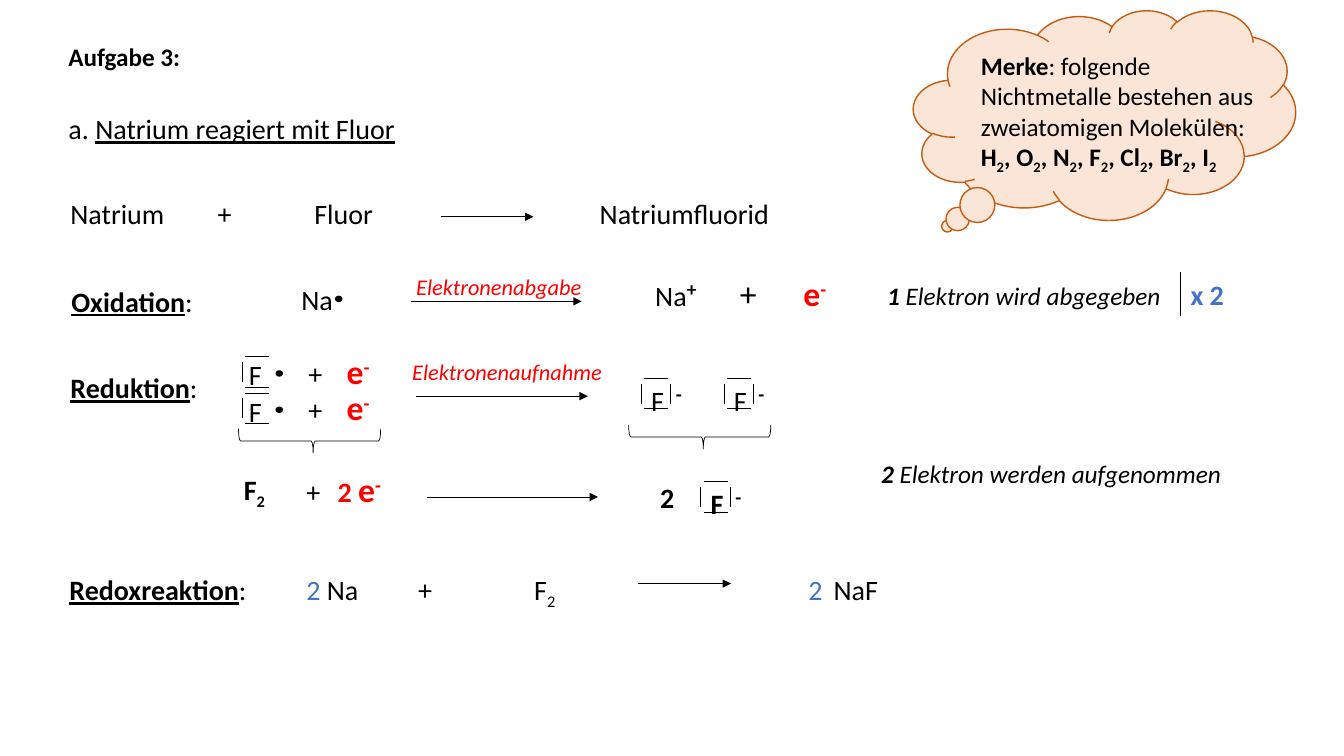
from lxml.etree import SubElement
from pptx import Presentation
from pptx.dml.color import RGBColor
from pptx.enum.shapes import MSO_CONNECTOR as Connector, MSO_SHAPE as Preset
from pptx.enum.text import MSO_AUTO_SIZE as AutoSize
from pptx.oxml.ns import qn
from pptx.util import Inches, Pt

COLUMN = ROW = Inches(0.1)
FONT = "Calibri"
COLORS = {
    "black": "000000",
    "red": "FF0000",
    "blue": "4472C4",
    "cloud": "FBE5D6",
    "cloud_edge": "C55A11",
}
SUB, SUPER = -25000, 30000
BOLD = dict(bold=True)
ELECTRON = [
    ("e", dict(size=24, color="red", bold=True)),
    ("-", dict(size=24, color="red", bold=True, baseline=SUPER)),
]


def color_of(name):
    return RGBColor.from_string(COLORS[name])


def columns(count):
    return round(count * COLUMN)


def rows(count):
    return round(count * ROW)


def frame(left, top, width, height):
    return columns(left), rows(top), columns(width), rows(height)


def add_run(paragraph, text, size=20, color="black", bold=False, italic=False,
            underline=False, baseline=0):
    run = paragraph.add_run()
    run.text = text
    font = run.font
    font.name, font.size = FONT, Pt(size)
    font.bold, font.italic, font.underline = bold, italic, underline
    font.color.rgb = color_of(color)
    if baseline:
        run._r.get_or_add_rPr().set("baseline", str(baseline))


def add_text(slide, place, runs, tabs=(), **common):
    box = slide.shapes.add_textbox(*frame(*place))
    box.text_frame.word_wrap = True
    box.text_frame.auto_size = AutoSize.SHAPE_TO_FIT_TEXT
    paragraph = box.text_frame.paragraphs[0]
    if tabs:
        properties = paragraph._p.get_or_add_pPr()
        tab_list = SubElement(properties, qn("a:tabLst"))
        for position in tabs:
            SubElement(tab_list, qn("a:tab"), pos=str(columns(position)), algn="l")
    for text, extra in runs:
        add_run(paragraph, text, **{**common, **extra})


def add_line(slide, start, end, arrow=False):
    line = slide.shapes.add_connector(
        Connector.STRAIGHT, columns(start[0]), rows(start[1]),
        columns(end[0]), rows(end[1]))
    line.line.color.rgb = color_of("black")
    line.line.width = Pt(0.5)
    if arrow:
        SubElement(line.line._get_or_add_ln(), qn("a:tailEnd"), type="triangle")
    SubElement(line._element.spPr, qn("a:effectLst"))


def add_arrow(slide, left, top, length):
    add_line(slide, (left, top), (left + length, top), arrow=True)


def add_preset(slide, preset, place, fill=None, edge="black", weight=1.0,
               adjustments=(), rotation=0):
    shape = slide.shapes.add_shape(preset, *frame(*place))
    shape.shadow.inherit = False
    if fill:
        shape.fill.solid()
        shape.fill.fore_color.rgb = color_of(fill)
    else:
        shape.fill.background()
    shape.line.color.rgb = color_of(edge)
    shape.line.width = Pt(weight)
    for index, value in enumerate(adjustments):
        shape.adjustments[index] = value
    shape.rotation = rotation


def add_dot(slide, left, top):
    add_preset(slide, Preset.OVAL, (left, top, 0.6, 0.5), fill="black")


def add_brace(slide, left, top):
    add_preset(slide, Preset.RIGHT_BRACE, (left, top, 2.4, 14.1), weight=0.5,
               adjustments=(0.083, 0.475), rotation=90)


def add_electron_pairs(slide, left, top, closed):
    for offset in (0, 3):
        add_line(slide, (left + 0.3, top + offset), (left + 2.7, top + offset))
    for offset in (0, 2.9) if closed else (0,):
        add_line(slide, (left + offset, top + 0.5), (left + offset, top + 2.5))


def add_fluorine_atom(slide, left, top):
    add_text(slide, (left - 0.3, top - 0.4, 6.6, 4.4), [("F", {})])
    add_dot(slide, left + 3.4, top + 1.4)
    add_electron_pairs(slide, left, top, closed=False)
    add_text(slide, (left + 5.6, top - 1.1, 10.1, 5), [("+\t", {}), *ELECTRON],
             tabs=(3.8,))


def add_fluoride_ion(slide, left, top, bold=False):
    charge = dict(size=24, bold=True, baseline=SUPER)
    add_text(slide, (left, top - 0.55, 6, 4.4),
             [("F\t", dict(bold=bold)), ("-", charge)], tabs=(2.45,))
    add_electron_pairs(slide, left, top, closed=True)


def add_heading(slide, left, top, width, text):
    add_text(slide, (left, top, width, 4.4),
             [(text, dict(bold=True, underline=True)), (":", {})])


def add_remark(slide, left, top, width, count, text):
    add_text(slide, (left, top, width, 4), [(count, BOLD), (text, {})],
             size=18, italic=True)


def add_arrow_label(slide, left, top, width, text):
    add_text(slide, (left, top, width, 3.7), [(text, {})],
             size=16, color="red", italic=True)


def add_hint(slide):
    add_preset(slide, Preset.CLOUD_CALLOUT, (90.6, 1, 37.9, 20.8), fill="cloud",
               edge="cloud_edge", adjustments=(-0.411, 0.531))
    runs = [("Merke", BOLD),
            (": folgende Nichtmetalle bestehen aus zweiatomigen Molekülen: ", {})]
    for index, element in enumerate(("H", "O", "N", "F", "Cl", "Br", "I")):
        runs.append(((", " if index else "") + element, BOLD))
        runs.append(("2", dict(bold=True, baseline=SUB)))
    add_text(slide, (96.3, 4.5, 30.7, 13.1), runs, size=18)


def add_word_equation(slide):
    add_text(slide, (5.8, 3.6, 31.7, 4), [("Aufgabe 3:", BOLD)], size=18)
    add_text(slide, (5.8, 10.6, 52.8, 4.4),
             [("a. ", {}), ("Natrium reagiert mit Fluor", dict(underline=True))])
    add_text(slide, (6, 19, 80.6, 4.4),
             [("Natrium\t+\tFluor\tNatriumfluorid", {})], tabs=(14.6, 24.2, 52.5))
    add_arrow(slide, 43.7, 21.5, 9.2)


def add_oxidation(slide):
    add_heading(slide, 6.1, 27.7, 16.5, "Oxidation")
    add_text(slide, (28.9, 27.5, 6.6, 4.4), [("Na", {})])
    add_dot(slide, 33.3, 29.4)
    add_arrow_label(slide, 40.3, 26.6, 19.6, "Elektronenabgabe")
    add_arrow(slide, 40.8, 29.9, 16.9)
    add_text(slide, (64, 26.6, 24.5, 5),
             [("Na", {}), ("+", dict(size=24, bold=True, baseline=SUPER)),
              ("\t+\t", dict(size=24)), *ELECTRON], tabs=(8.4, 14.7))
    add_remark(slide, 87, 27.3, 32.1, "1", " Elektron wird abgegeben")
    add_line(slide, (117.1, 27), (117.1, 31.4))
    add_text(slide, (117.1, 27, 7.6, 4.4), [("x 2", BOLD)], color="blue")


def add_reduction(slide):
    add_heading(slide, 6, 36.3, 16.5, "Reduktion")
    for top in (35.4, 39):
        add_fluorine_atom(slide, 24, top)
    add_arrow_label(slide, 39.9, 35, 21, "Elektronenaufnahme")
    add_arrow(slide, 41.3, 39.3, 17)
    for left in (63.6, 71.8):
        add_fluoride_ion(slide, left, 37.55)
    add_brace(slide, 29.5, 36.7)
    add_brace(slide, 68.2, 36.3)
    add_text(slide, (23.2, 46.4, 5.6, 4.4),
             [("F", BOLD), ("2", dict(bold=True, baseline=SUB))])
    add_text(slide, (29.4, 46, 10.1, 5),
             [("+\t", {}), ("2 ", dict(color="red", bold=True)), *ELECTRON],
             tabs=(3.1,))
    add_arrow(slide, 42.4, 49.3, 16.9)
    add_text(slide, (64.5, 47.2, 4, 4.4), [("2", BOLD)])
    add_fluoride_ion(slide, 69.5, 47.8, bold=True)
    add_remark(slide, 86.4, 45, 38.8, "2", " Elektron werden aufgenommen")


def add_redox_reaction(slide):
    add_heading(slide, 5.9, 56.3, 20.6, "Redoxreaktion")
    blue = dict(color="blue")
    add_text(slide, (29.4, 56.3, 65, 4.4),
             [("2", blue), (" Na\t+\tF", {}), ("2", dict(baseline=SUB)),
              ("\t2\t", blue), ("NaF", {})], tabs=(11.1, 22.6, 49.8, 52.3))
    add_arrow(slide, 63.3, 57.9, 9.2)


def main():
    presentation = Presentation()
    presentation.slide_width = Inches(13.33)
    presentation.slide_height = Inches(7.5)
    slide = presentation.slides.add_slide(presentation.slide_layouts[6])
    for add_section in (add_hint, add_word_equation, add_oxidation,
                        add_reduction, add_redox_reaction):
        add_section(slide)
    presentation.save("out.pptx")


if __name__ == "__main__":
    main()
